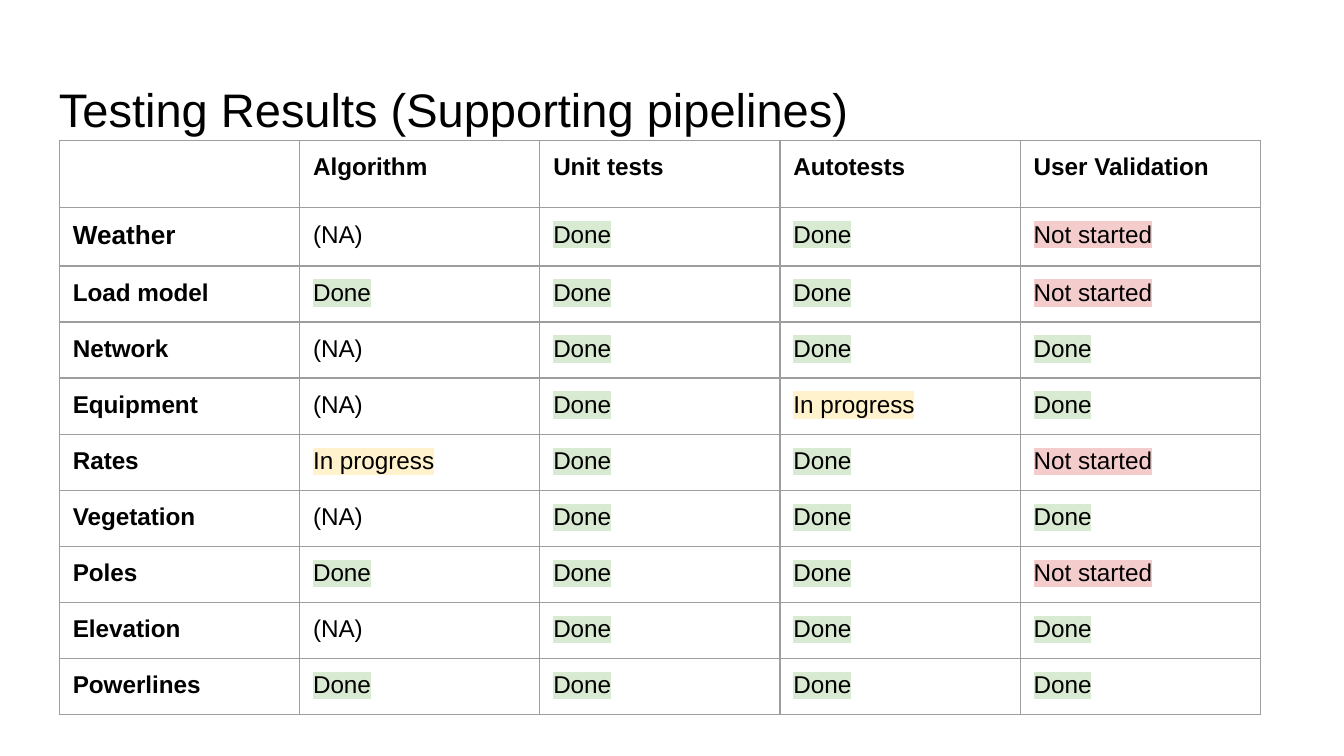
import dataclasses

import lxml.etree
import pptx
import pptx.dml.color
import pptx.enum.text
import pptx.oxml.ns
import pptx.util

Pt = pptx.util.Pt
qn = pptx.oxml.ns.qn


@dataclasses.dataclass(frozen=True)
class Theme:
    """Colours, font and type sizes of the slide."""
    font: str = "Arial"
    text: str = "000000"
    border: str = "9E9E9E"
    done: str = "D9EAD3"
    in_progress: str = "FFF2CC"
    not_started: str = "F4CCCC"
    title_size: float = 25.2
    body_size: float = 13
    large_size: float = 14


THEME = Theme()
INSET = Pt(7.2)
HEADERS = ["", "Algorithm", "Unit tests", "Autotests", "User Validation"]
NA, DONE, IN_PROGRESS, NOT_STARTED = "(NA)", "Done", "In progress", "Not started"
HIGHLIGHTS = {
    DONE: THEME.done,
    IN_PROGRESS: THEME.in_progress,
    NOT_STARTED: THEME.not_started,
}
RESULTS = [
    ("Weather", NA, DONE, DONE, NOT_STARTED),
    ("Load model", DONE, DONE, DONE, NOT_STARTED),
    ("Network", NA, DONE, DONE, DONE),
    ("Equipment", NA, DONE, IN_PROGRESS, DONE),
    ("Rates", IN_PROGRESS, DONE, DONE, NOT_STARTED),
    ("Vegetation", NA, DONE, DONE, DONE),
    ("Poles", DONE, DONE, DONE, NOT_STARTED),
    ("Elevation", NA, DONE, DONE, DONE),
    ("Powerlines", DONE, DONE, DONE, DONE),
]


def add_solid_fill(parent, color):
    """Append a solid fill of the given colour to an XML element."""
    fill = lxml.etree.SubElement(parent, qn("a:solidFill"))
    lxml.etree.SubElement(fill, qn("a:srgbClr"), val=color)


def write_text(text_frame, text, *, size=THEME.body_size, bold=False, highlight=None):
    """Write one formatted run into a text frame."""
    run = text_frame.paragraphs[0].add_run()
    run.text = text
    run.font.name = THEME.font
    run.font.size = Pt(size)
    run.font.bold = bold
    run.font.color.rgb = pptx.dml.color.RGBColor.from_string(THEME.text)
    if highlight:
        properties = run.font._element
        element = lxml.etree.SubElement(properties, qn("a:highlight"))
        lxml.etree.SubElement(element, qn("a:srgbClr"), val=highlight)
        properties.find(qn("a:solidFill")).addnext(element)


def add_title(slide, text):
    """Add the title, resting on the bottom of its box."""
    shape = slide.shapes.add_textbox(Pt(24.5), Pt(35.1), Pt(671), Pt(45.4))
    frame = shape.text_frame
    frame.word_wrap = True
    frame.vertical_anchor = pptx.enum.text.MSO_ANCHOR.BOTTOM
    frame.margin_left = frame.margin_right = INSET
    frame.margin_top = frame.margin_bottom = INSET
    write_text(frame, text, size=THEME.title_size)


def style_cell(cell):
    """Give a cell its insets, thin borders and no fill."""
    cell.margin_left = cell.margin_right = INSET
    cell.margin_top = cell.margin_bottom = INSET
    properties = cell._tc.get_or_add_tcPr()
    for side in ("lnL", "lnR", "lnT", "lnB"):
        line = lxml.etree.SubElement(properties, qn(f"a:{side}"), w=str(Pt(0.75)))
        add_solid_fill(line, THEME.border)
    cell.fill.background()


def add_results_table(slide):
    """Add the table of test states, one row for each pipeline."""
    rows = [HEADERS, *RESULTS]
    heights = [Pt(34.8), Pt(30)] + [Pt(28.9)] * (len(rows) - 2)
    column_width = Pt(128.7)
    table = slide.shapes.add_table(
        len(rows), len(HEADERS), Pt(31.8), Pt(75.2),
        column_width * len(HEADERS), sum(heights)).table
    table.first_row = table.horz_banding = False
    for column in table.columns:
        column.width = column_width
    for row_index, values in enumerate(rows):
        table.rows[row_index].height = heights[row_index]
        for column_index, value in enumerate(values):
            cell = table.cell(row_index, column_index)
            style_cell(cell)
            if value:
                write_text(
                    cell.text_frame, value,
                    size=THEME.large_size if value == "Weather" else THEME.body_size,
                    bold=row_index == 0 or column_index == 0,
                    highlight=HIGHLIGHTS.get(value))


def main():
    """Build and save the slide."""
    presentation = pptx.Presentation()
    presentation.slide_width = Pt(720)
    presentation.slide_height = Pt(405)
    slide = presentation.slides.add_slide(presentation.slide_layouts[6])
    add_title(slide, "Testing Results (Supporting pipelines)")
    add_results_table(slide)
    presentation.save("out.pptx")


if __name__ == "__main__":
    main()
